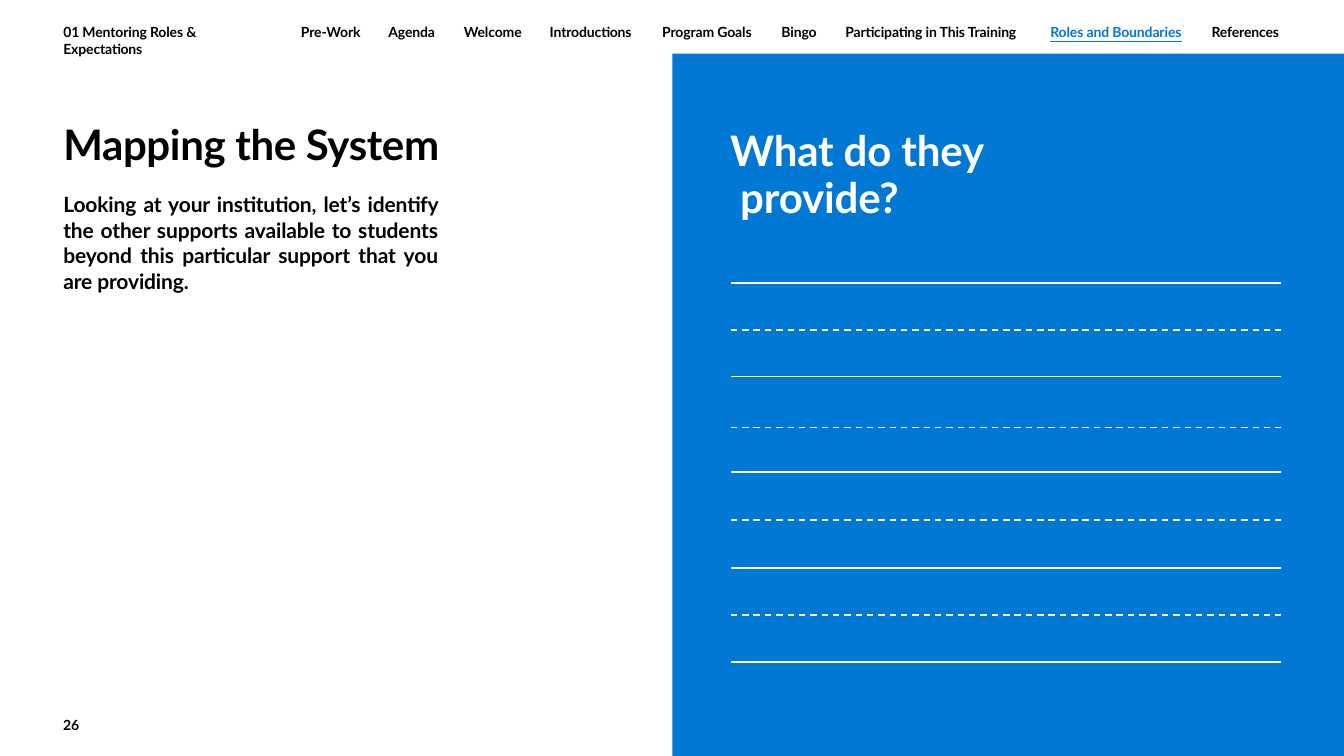
from dataclasses import dataclass

from lxml.etree import SubElement
from pptx import Presentation
from pptx.dml.color import RGBColor
from pptx.enum.dml import MSO_LINE
from pptx.enum.shapes import MSO_CONNECTOR, MSO_SHAPE
from pptx.enum.text import MSO_AUTO_SIZE, PP_ALIGN
from pptx.oxml.ns import qn
from pptx.util import Pt


@dataclass(frozen=True)
class Theme:
    """Colours, font and type sizes of the deck."""
    black: RGBColor = RGBColor(0, 0, 0)
    white: RGBColor = RGBColor(255, 255, 255)
    blue: RGBColor = RGBColor(0x00, 0x78, 0xD4)
    font: str = "Lato"
    title: int = 36
    body: int = 18
    label: int = 12
    rule: float = 1.4


THEME = Theme()
PAGE_WIDTH, PAGE_HEIGHT = 1152, 648
NAVIGATION = [
    ("01 Mentoring Roles &\vExpectations", 53.3, 188),
    ("Pre-Work", 257, 53.3),
    ("Agenda", 331.9, 43.9),
    ("Welcome", 396.7, 52.6),
    ("Introductions", 470.2, 74.9),
    ("Program Goals", 566.6, 81.4),
    ("Bingo", 668.9, 33.8),
    ("Participating in This Training", 723.6, 154.1),
    ("Roles and Boundaries", 899.3, 117.4),
    ("References", 1037.5, 61.2),
]
CURRENT_SECTION = "Roles and Boundaries"
RULE_OFFSETS = [0, 40.3, 80, 123.8, 162, 203, 244, 284.4, 324.7]


def add_text_box(page, box, inset):
    """Add a wrapping text box with left and top insets and return its frame."""
    frame = page.shapes.add_textbox(*map(Pt, box)).text_frame
    frame.word_wrap = True
    frame.auto_size = MSO_AUTO_SIZE.SHAPE_TO_FIT_TEXT
    frame.margin_left, frame.margin_top = map(Pt, inset)
    frame.margin_right = frame.margin_bottom = 0
    return frame


def write(para, text, size, color, spacing=-0.1, underline=False):
    """Set a paragraph's text and format its runs."""
    para.text = text
    for span in para.runs:
        span.font.name = THEME.font
        span.font.size = Pt(size)
        span.font.bold = True
        span.font.color.rgb = color
        if underline:
            span.font.underline = True
        span._r.get_or_add_rPr().set("spc", str(round(spacing * 100)))


def add_navigation(page, box):
    """Place the section labels along the top strip."""
    left, top, _, height = box
    for label, offset, width in NAVIGATION:
        current = label == CURRENT_SECTION
        frame = add_text_box(page, (left + offset, top, width, height), (1, 2))
        color = THEME.blue if current else THEME.black
        write(frame.paragraphs[0], label, THEME.label, color, underline=current)


def add_introduction(page, box):
    """Place the title and the instruction below it."""
    frame = add_text_box(page, box, (1, 2))
    title = frame.paragraphs[0]
    title.alignment = PP_ALIGN.JUSTIFY
    write(title, "Mapping the System", THEME.title, THEME.black, -0.3)
    body = frame.add_paragraph()
    body.alignment = PP_ALIGN.JUSTIFY
    body.line_spacing = 1.02
    body.space_before = Pt(18.4)
    body._p.get_or_add_pPr().set("marR", str(Pt(13.3)))
    write(body, "Looking at your institution, let’s identify the other supports "
          "available to students beyond this particular support that you "
          "are providing.", THEME.body, THEME.black)


def add_writing_rules(page, box):
    """Draw alternating solid and dashed writing lines."""
    left, top, width, _ = box
    for index, offset in enumerate(RULE_OFFSETS):
        height = top + offset
        rule = page.shapes.add_connector(
            MSO_CONNECTOR.STRAIGHT, Pt(left), Pt(height), Pt(left + width), Pt(height))
        rule.line.color.rgb = THEME.white
        rule.line.width = Pt(THEME.rule)
        if index % 2:
            rule.line.dash_style = MSO_LINE.DASH
        SubElement(rule._element.spPr, qn("a:effectLst"))


def add_answer_panel(page, box):
    """Place the blue panel with its question and writing lines."""
    left, top, _, _ = box
    panel = page.shapes.add_shape(MSO_SHAPE.RECTANGLE, *map(Pt, box))
    panel.shadow.inherit = False
    panel.fill.solid()
    panel.fill.fore_color.rgb = THEME.blue
    panel.line.fill.background()
    add_writing_rules(page, (left + 50, top + 196.6, 471.6, 324.7))
    frame = add_text_box(page, (left + 48.5, top + 54, 222, 85), (1, 10))
    question = frame.paragraphs[0]
    question.line_spacing = Pt(40)
    write(question, "What do they\v provide?", THEME.title, THEME.white, -0.15)


def add_page_number(page, box):
    """Place the page number."""
    frame = add_text_box(page, box, (3, 4))
    write(frame.paragraphs[0], "26", THEME.label, THEME.black, 0)


def main():
    """Build and save the deck."""
    deck = Presentation()
    deck.slide_width, deck.slide_height = Pt(PAGE_WIDTH), Pt(PAGE_HEIGHT)
    page = deck.slides.add_slide(deck.slide_layouts[6])
    panel_left, panel_top = 576.4, 46.1
    add_introduction(page, (53.3, 100, 335.5, 152))
    add_answer_panel(page, (panel_left, panel_top,
                            PAGE_WIDTH - panel_left, PAGE_HEIGHT - panel_top))
    add_navigation(page, (0, 18, PAGE_WIDTH, 16.6))
    add_page_number(page, (51.1, 609.8, 20.2, 18))
    deck.save("out.pptx")


if __name__ == "__main__":
    main()
